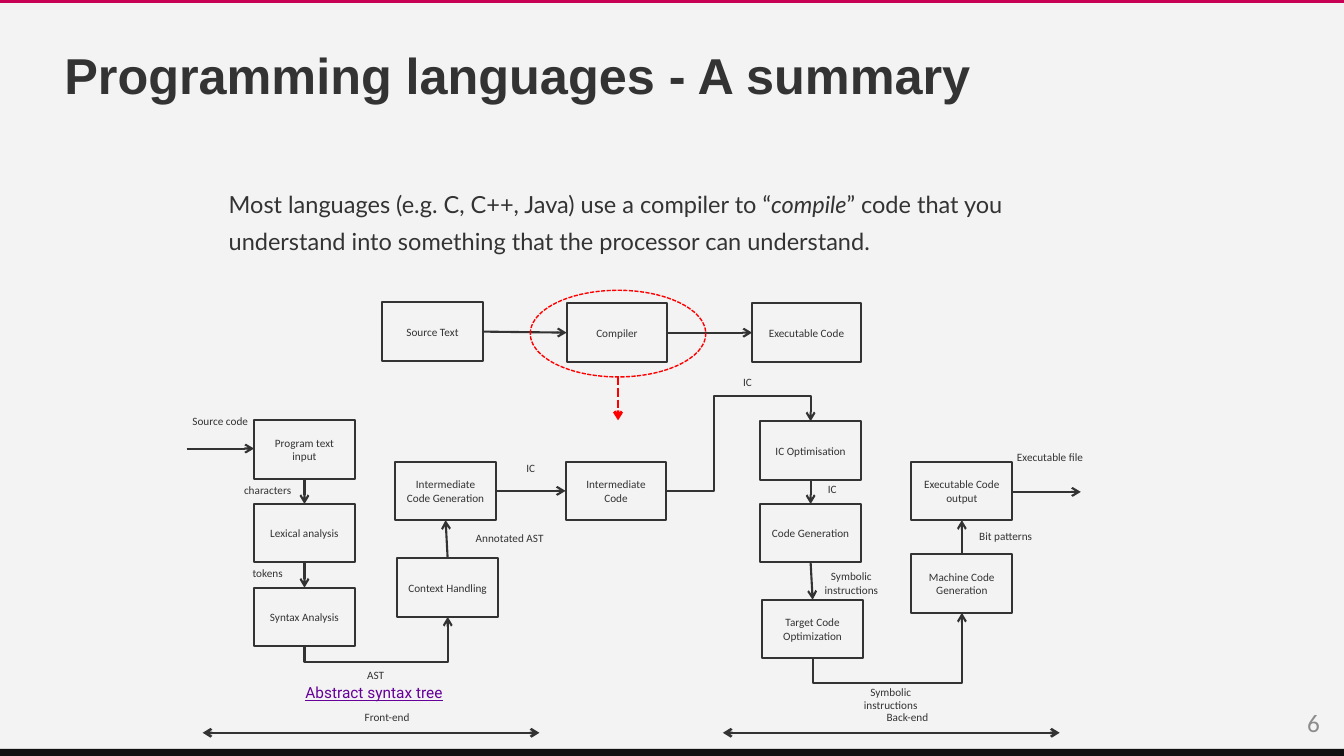
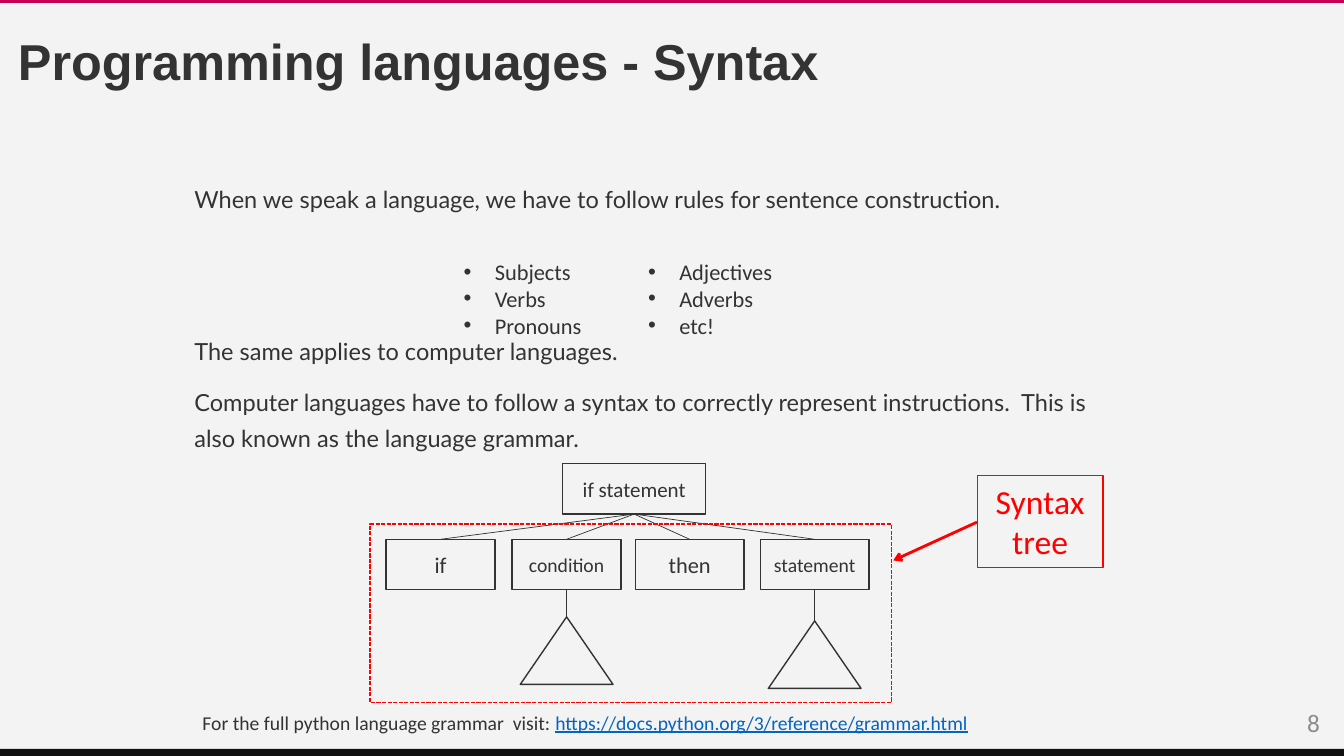
import pptx
import pptx.util
import pptx.dml.color
import pptx.enum.dml
import pptx.enum.shapes
import pptx.enum.text
import pptx.oxml
import pptx.oxml.ns

Inches, Pt = pptx.util.Inches, pptx.util.Pt
SHAPE = pptx.enum.shapes.MSO_SHAPE
CONNECTOR = pptx.enum.shapes.MSO_CONNECTOR
ALIGN = pptx.enum.text.PP_ALIGN
ANCHOR = pptx.enum.text.MSO_ANCHOR
DASH = pptx.enum.dml.MSO_LINE.SQUARE_DOT

COLORS = {"page": "F3F3F3", "ink": "333333", "accent": "C80054", "base": "101010",
          "number": "8C8C8C", "mark": "FF0000", "link": "0563C1", "visited": "660099"}
SIDES = {"top": (0, 0.5, 0), "left": (1, 0, 0.5), "bottom": (2, 0.5, 1), "right": (3, 1, 0.5)}

# Content: summary slide
SUMMARY_TITLE = ("Programming languages - A summary", (0.54, 0.18, 10.63, 1.2))
SUMMARY_TEXT = [
    ("Most languages (e.g. C, C++, Java) use a compiler to “", {}),
    ("compile", {"italic": True}),
    ("” code that you understand into something that the processor can understand.", {}),
]
STAGE_SIZE = (1, 0.58)
STAGES = {  # left, top
    "Source Text": (3.79, 3), "Compiler": (5.62, 3.01), "Executable Code": (7.46, 3.01),
    "Program text input": (2.52, 4.17), "Lexical analysis": (2.52, 5),
    "Syntax Analysis": (2.52, 5.83), "Context Handling": (3.94, 5.54),
    "Intermediate Code Generation": (3.92, 4.58), "Intermediate Code": (5.61, 4.58),
    "IC Optimisation": (7.54, 4.18), "Code Generation": (7.54, 5),
    "Target Code Optimization": (7.56, 5.95), "Machine Code Generation": (9.04, 5.5),
    "Executable Code output": (9.04, 4.58),
}
STAGE_WIDTHS = {"Executable Code": 1.08}
FLOWS = [
    ("Source Text", "right", "Compiler", "left"),
    ("Compiler", "right", "Executable Code", "left"),
    ("Program text input", "bottom", "Lexical analysis", "top"),
    ("Lexical analysis", "bottom", "Syntax Analysis", "top"),
    ("Context Handling", "top", "Intermediate Code Generation", "bottom"),
    ("Intermediate Code Generation", "right", "Intermediate Code", "left"),
    ("IC Optimisation", "bottom", "Code Generation", "top"),
    ("Code Generation", "bottom", "Target Code Optimization", "top"),
    ("Machine Code Generation", "top", "Executable Code output", "bottom"),
]
BENT_FLOWS = [  # stages and sides, bends as shares of the frame
    ("Syntax Analysis", "bottom", "Context Handling", "bottom", (-0.53,)),
    ("Target Code Optimization", "bottom", "Machine Code Generation", "bottom", (-0.55,)),
    ("Intermediate Code", "right", "IC Optimisation", "top", (0.33, 1.36)),
]
OPEN_FLOWS = [((1.85, 4.45), (2.52, 4.45)), ((10.04, 4.88), (10.72, 4.88))]
FLOW_LABELS = [  # text, left, top, width
    ("Source code", 1.75, 4.06, 0.87), ("characters", 2.22, 4.75, 0.87),
    ("tokens", 2.22, 5.57, 0.87), ("AST", 3.29, 6.58, 0.87),
    ("Annotated AST", 4.5, 5.22, 1.11), ("IC", 4.83, 4.53, 0.87),
    ("IC", 6.98, 3.67, 0.87), ("IC", 7.82, 4.74, 0.87),
    ("Symbolic instructions", 8.01, 5.6, 0.87), ("Symbolic instructions", 8.4, 6.75, 0.87),
    ("Bit patterns", 9.54, 5.2, 0.87), ("Executable file", 9.98, 4.42, 0.87),
]
PHASES = [("Front-end", 2.01), ("Back-end", 7.17)]
PHASE_WIDTH, PHASE_LABEL_WIDTH = 3.34, 1.25

# Content: syntax slide
SYNTAX_TITLE = ("Programming languages - Syntax", (0.08, 0.15, 9.87, 0.98))
SYNTAX_TEXT = [  # text, space before
    ("When we speak a language, we have to follow rules for sentence construction.", 10),
    ("The same applies to computer languages.", 82.5),
    ("Computer languages have to follow a syntax to correctly represent instructions.  "
     "This is also known as the language grammar.", 10),
]
WORD_CLASSES = [
    ((4.5, 2.51, 1.83, 0.91), ["Subjects", "Verbs", "Pronouns"]),
    ((6.33, 2.51, 1.67, 0.91), ["Adjectives", "Adverbs", "etc!"]),
]
TREE_ROOT = ("if statement", (5.58, 4.6, 1.42, 0.5), 15)
TREE_PARTS = [  # text, left, text size, top of its subtree
    ("if", 3.83, 16, None), ("condition", 5.08, 14, 6.12),
    ("then", 6.3, 16, None), ("statement", 7.54, 14, 6.16),
]
GRAMMAR_NOTE = [
    ("For the full python language grammar  visit: ", {}),
    ("https://docs.python.org/3/reference/grammar.html", {"color": "link", "underline": True}),
]


def rgb(name):
    return pptx.dml.color.RGBColor.from_string(COLORS[name])


def add_run(paragraph, text, size, font="Calibri", color="ink", **style):
    run = paragraph.add_run()
    run.text = text
    run.font.size, run.font.name = Pt(size), font
    run.font.color.rgb = rgb(color)
    for key, value in style.items():
        setattr(run.font, key, value)


def add_text(slide, at, paragraphs, size, align=ALIGN.LEFT, anchor=ANCHOR.TOP, **style):
    """Each paragraph is a list of (text, style) runs."""
    frame = slide.shapes.add_textbox(*map(Inches, at)).text_frame
    frame.word_wrap = True
    frame.vertical_anchor = anchor
    for i, runs in enumerate(paragraphs):
        paragraph = frame.add_paragraph() if i else frame.paragraphs[0]
        paragraph.alignment = align
        for text, own in runs:
            add_run(paragraph, text, size, **{**style, **own})
    return frame.paragraphs


def add_body(slide, at, paragraphs, spaces):
    for paragraph, space in zip(add_text(slide, at, paragraphs, 16.8, font="Lato"), spaces):
        paragraph.line_spacing, paragraph.space_before = 1.3, Pt(space)


def add_shape(slide, kind, at, fill=None, line=None, width=1, dash=None):
    shape = slide.shapes.add_shape(kind, *map(Inches, at))
    shape.shadow.inherit = False
    if fill:
        shape.fill.solid()
        shape.fill.fore_color.rgb = rgb(fill)
    else:
        shape.fill.background()
    if line:
        shape.line.color.rgb, shape.line.width = rgb(line), Pt(width)
        shape.line.dash_style = dash
    else:
        shape.line.fill.background()
    return shape


def add_box(slide, at, text, size, width, color="ink", anchor=ANCHOR.MIDDLE):
    box = add_shape(slide, SHAPE.RECTANGLE, at, line=color, width=width)
    box.text_frame.word_wrap = True
    box.text_frame.vertical_anchor = anchor
    paragraph = box.text_frame.paragraphs[0]
    paragraph.alignment = ALIGN.CENTER
    add_run(paragraph, text, size, color=color)
    return box


def add_line(slide, start, end, width=1.5, color="ink", ends=("tailEnd",), dash=None,
             kind=CONNECTOR.STRAIGHT):
    line = slide.shapes.add_connector(kind, *map(Inches, (*start, *end)))
    line.line.color.rgb, line.line.width = rgb(color), Pt(width)
    line.line.dash_style = dash
    for tag in ends:
        arrow = pptx.oxml.parse_xml(f'<a:{tag} {pptx.oxml.ns.nsdecls("a")} type="arrow"/>')
        line.line._get_or_add_ln().append(arrow)
    line._element.spPr.append(
        pptx.oxml.parse_xml(f'<a:effectLst {pptx.oxml.ns.nsdecls("a")}/>'))
    return line


def side_point(shape, side):
    _, across, down = SIDES[side]
    return ((shape.left + shape.width * across) / Inches(1),
            (shape.top + shape.height * down) / Inches(1))


def join(slide, first, side, second, other, **style):
    line = add_line(slide, side_point(first, side), side_point(second, other), **style)
    line.begin_connect(first, SIDES[side][0])
    line.end_connect(second, SIDES[other][0])


def add_bent(slide, start, end, bends, upright):
    """An elbow arrow; an upright one leaves vertically, so its frame is turned by 90 degrees."""
    if upright:
        mid_x, mid_y = (start[0] + end[0]) / 2, (start[1] + end[1]) / 2
        start, end = [(mid_x + y - mid_y, mid_y - x + mid_x) for x, y in (start, end)]
    line = add_line(slide, start, end, kind=CONNECTOR.ELBOW)
    properties = line._element.spPr
    if upright:
        properties.find(pptx.oxml.ns.qn("a:xfrm")).set("rot", "5400000")
    geometry = properties.find(pptx.oxml.ns.qn("a:prstGeom"))
    geometry.set("prst", f"bentConnector{len(bends) + 2}")
    guides = geometry.get_or_add_avLst()
    for i, bend in enumerate(bends, 1):
        guides.append(pptx.oxml.parse_xml(
            f'<a:gd {pptx.oxml.ns.nsdecls("a")} name="adj{i}" fmla="val {round(bend * 100000)}"/>'))


def add_slide(deck, title, number):
    slide = deck.slides.add_slide(deck.slide_layouts[6])
    add_shape(slide, SHAPE.RECTANGLE, (0, 7.43, 13.33, 0.07), fill="base")
    add_shape(slide, SHAPE.RECTANGLE, (0, 0, 13.33, 0.03), fill="accent")
    add_text(slide, (10.94, 6.97, 2.25, 0.4), [[(number, {})]], 18, ALIGN.RIGHT, color="number")
    text, at = title
    heading = add_text(slide, at, [[(text, {})]], 36, anchor=ANCHOR.MIDDLE, font="Arial", bold=True)
    heading[0].line_spacing = 0.9
    return slide


def build_summary(deck):
    slide = add_slide(deck, SUMMARY_TITLE, "6")
    add_body(slide, (2.17, 1.75, 8.33, 1.17), [SUMMARY_TEXT], [10])

    # Stages and the flows between them
    width, height = STAGE_SIZE
    stages = {name: add_box(slide, (*corner, STAGE_WIDTHS.get(name, width), height), name, 8, 1.5)
              for name, corner in STAGES.items()}
    for first, side, second, other in FLOWS:
        join(slide, stages[first], side, stages[second], other)
    for first, side, second, other, bends in BENT_FLOWS:
        add_bent(slide, side_point(stages[first], side), side_point(stages[second], other),
                 bends, side == "bottom")
    for start, end in OPEN_FLOWS:
        add_line(slide, start, end)
    for text, left, top, label_width in FLOW_LABELS:
        add_text(slide, (left, top, label_width, 0.24), [[(text, {})]], 8, ALIGN.CENTER)

    # Front-end and back-end spans
    for text, left in PHASES:
        add_line(slide, (left, 7.27), (left + PHASE_WIDTH, 7.27), 1.75, ends=("headEnd", "tailEnd"))
        label_left = left + (PHASE_WIDTH - PHASE_LABEL_WIDTH) / 2 + 0.16
        add_text(slide, (label_left, 7, PHASE_LABEL_WIDTH, 0.24), [[(text, {})]], 8, ALIGN.CENTER)

    # Highlight around the compiler
    halo = add_shape(slide, SHAPE.OVAL, (5.26, 2.88, 1.74, 0.86), line="mark", dash=DASH)
    x, y = side_point(halo, "bottom")
    add_line(slide, (x, y), (x, 4.17), 2, "mark", dash=DASH)
    add_text(slide, (2.93, 6.73, 2.62, 0.29), [[("Abstract syntax tree", {})]], 11,
             font="Roboto", color="visited", underline=True)


def build_syntax(deck):
    slide = add_slide(deck, SYNTAX_TITLE, "8")
    add_body(slide, (1.83, 1.7, 9.25, 3.08), [[(text, {})] for text, _ in SYNTAX_TEXT],
             [space for _, space in SYNTAX_TEXT])
    for at, words in WORD_CLASSES:
        for paragraph in add_text(slide, at, [[(word, {})] for word in words], 16):
            layout = paragraph._p.get_or_add_pPr()
            layout.set("marL", str(Inches(0.31)))
            layout.set("indent", str(Inches(-0.31)))
            for tag in ('buFont {} typeface="Arial"', 'buChar {} char="•"'):
                layout.append(pptx.oxml.parse_xml(
                    f'<a:{tag.format(pptx.oxml.ns.nsdecls("a"))}/>'))

    # Syntax tree
    text, at, size = TREE_ROOT
    root = add_box(slide, at, text, size, 1)
    for text, left, size, subtree_top in TREE_PARTS:
        part = add_box(slide, (left, 5.35, 1.08, 0.5), text, size, 1)
        join(slide, root, "bottom", part, "top", width=0.5, ends=())
        if subtree_top:
            subtree = add_shape(slide, SHAPE.ISOSCELES_TRIANGLE,
                                (left + 0.08, subtree_top, 0.92, 0.67), line="ink")
            join(slide, part, "bottom", subtree, "top", width=0.5, ends=())

    # Callout on the tree
    add_line(slide, (9.69, 5.18), (8.86, 5.56), 2, "mark")
    add_box(slide, (9.69, 4.72, 1.25, 0.91), "Syntax tree", 24, 0.75, "mark", ANCHOR.TOP)
    add_shape(slide, SHAPE.RECTANGLE, (3.67, 5.2, 5.17, 1.77), line="mark", dash=DASH)
    add_text(slide, (1.91, 7, 9.09, 0.34), [GRAMMAR_NOTE], 14)


def main():
    deck = pptx.Presentation()
    deck.slide_width, deck.slide_height = Inches(13.33), Inches(7.5)
    backdrop = deck.slide_master.background.fill
    backdrop.solid()
    backdrop.fore_color.rgb = rgb("page")
    build_summary(deck)
    build_syntax(deck)
    deck.save("out.pptx")


if __name__ == "__main__":
    main()
